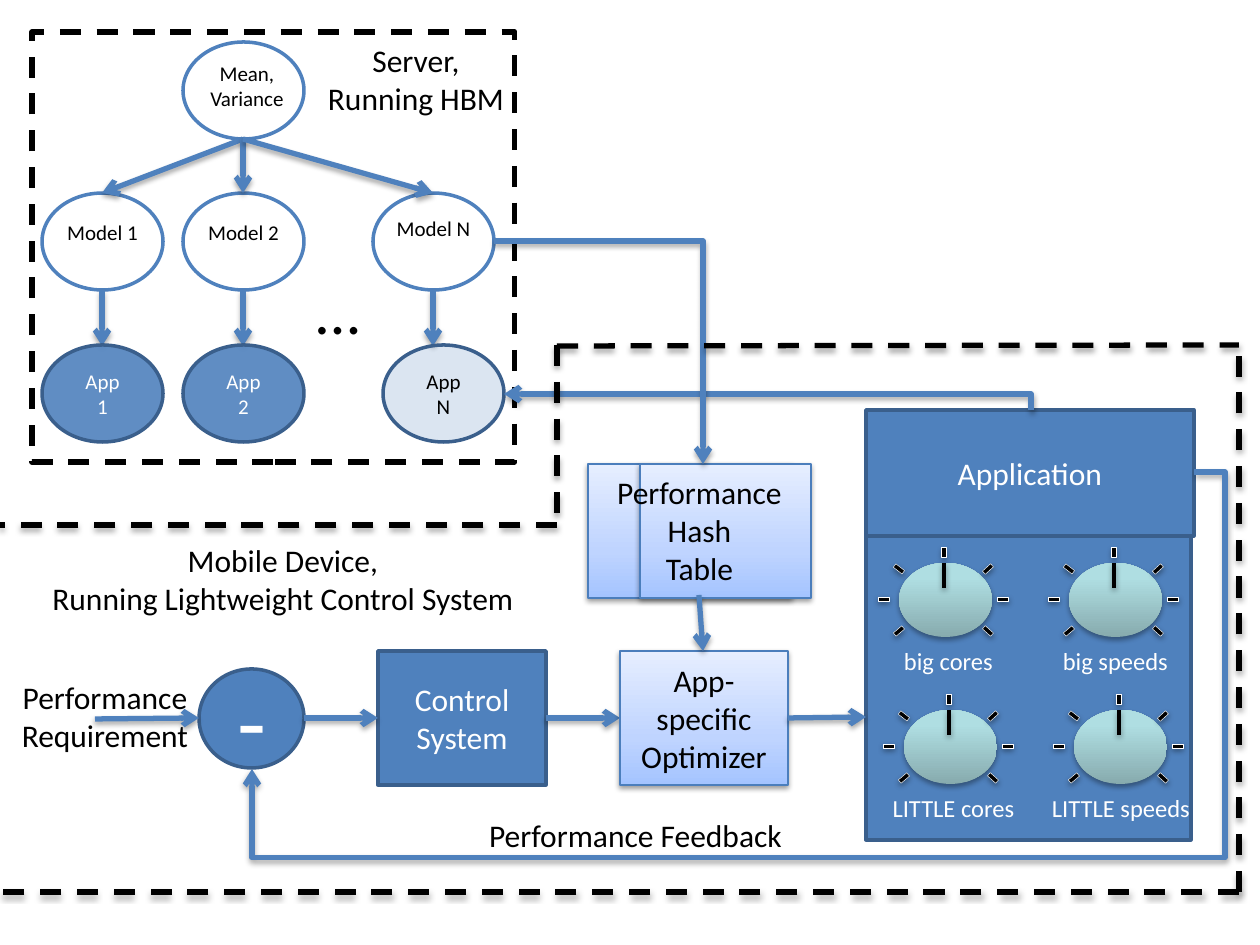
from lxml import etree
from pptx import Presentation, util as u
from pptx.dml.color import RGBColor
from pptx.enum import dml, shapes, text
from pptx.oxml import parse_xml
from pptx.oxml.ns import nsdecls, qn

SCALE = u.Inches(1) // 126
COLORS = dict(blue="4F81BD", navy="3A5F8C", edge="4B7EBC", white="FFFFFF", black="000000")
PALE = [(0, "A4C4FF"), (35, "BFD4FF"), (100, "E6EEFF")]
TEAL = [(0, "87ABAE"), (80, "AFDEE2"), (100, "AFE0E4")]
SOFT = (35, 1.8)
HARD = (38, 1.6)
KIND = shapes.MSO_SHAPE


def px(*vals):
    return [u.Emu(int(v * SCALE)) for v in vals]


def rgb(name):
    return RGBColor.from_string(COLORS[name])


def write(shape, words, size=18, color="black", align=text.PP_ALIGN.CENTER):
    frame = shape.text_frame
    frame.word_wrap = True
    for i, line in enumerate(words.split("\n")):
        para = frame.paragraphs[0] if i == 0 else frame.add_paragraph()
        para.alignment = align
        run = para.add_run()
        run.text = line
        run.font.name = "Calibri"
        run.font.size = u.Pt(size)
        run.font.color.rgb = rgb(color)


def shade(shape, cast):
    props = shape._element.spPr
    list_ = props.find(qn("a:effectLst"))
    if list_ is None:
        list_ = etree.SubElement(props, qn("a:effectLst"))
    if cast:
        alpha, dist = cast
        list_.append(parse_xml(
            f'<a:outerShdw {nsdecls("a")} blurRad="{u.Pt(3.1)}" dist="{u.Pt(dist)}" '
            f'dir="5400000" rotWithShape="0"><a:srgbClr val="000000">'
            f'<a:alpha val="{alpha * 1000}"/></a:srgbClr></a:outerShdw>'))


def blend(shape, stops):
    shape.fill.gradient()
    shape.fill.gradient_angle = 90
    old = shape._element.spPr.find(qn("a:gradFill")).find(qn("a:gsLst"))
    marks = "".join(f'<a:gs pos="{pos * 1000}"><a:srgbClr val="{tone}"/></a:gs>'
                    for pos, tone in stops)
    old.getparent().replace(old, parse_xml(f'<a:gsLst {nsdecls("a")}>{marks}</a:gsLst>'))


class Board:
    def __init__(self, slide):
        self.slide = slide
        self.into = slide.shapes

    def box(self, kind, at, fill=None, line=None, width=2, words="", cast=None,
            alpha=None, dash=False, turn=0, **style):
        shape = self.into.add_shape(kind, *px(*at))
        shape.rotation = turn
        shape.shadow.inherit = False
        shade(shape, cast)
        if isinstance(fill, list):
            blend(shape, fill)
        elif fill:
            shape.fill.solid()
            shape.fill.fore_color.rgb = rgb(fill)
            if alpha:
                tone = shape._element.spPr.find(qn("a:solidFill"))[0]
                etree.SubElement(tone, qn("a:alpha"), val=str(alpha * 1000))
        else:
            shape.fill.background()
        if line:
            shape.line.color.rgb = rgb(line)
            shape.line.width = u.Pt(width)
            if dash:
                shape.line.dash_style = dml.MSO_LINE.DASH
        else:
            shape.line.fill.background()
        if words:
            write(shape, words, **style)

    def label(self, at, words, **style):
        write(self.into.add_textbox(*px(*at)), words, **style)

    def link(self, start, end, color="blue", width=3, tip="tailEnd", cast=SOFT,
             dash=False, bend=None, adjs=()):
        kind = shapes.MSO_CONNECTOR.ELBOW if bend else shapes.MSO_CONNECTOR.STRAIGHT
        line = self.into.add_connector(kind, *px(*start, *end))
        line.line.color.rgb = rgb(color)
        line.line.width = u.Pt(width)
        if dash:
            line.line.dash_style = dml.MSO_LINE.DASH
        if tip:
            etree.SubElement(line.line._get_or_add_ln(), qn("a:" + tip), type="arrow")
        shade(line, cast)
        if bend:
            geom = line._element.spPr.find(qn("a:prstGeom"))
            geom.set("prst", bend)
            guides = geom.get_or_add_avLst()
            for i, val in enumerate(adjs, 1):
                etree.SubElement(guides, qn("a:gd"), name=f"adj{i}", fmla=f"val {val}")

    def dial(self, x, y):
        self.into = self.slide.shapes.add_group_shape().shapes
        self.box(KIND.OVAL, (x, y, 93, 74), TEAL, cast=SOFT)
        self.link((x + 45, y), (x + 45, y + 25), "black", 2, None, HARD)
        ticks = [(45, -11, 270), (104, 36, 0), (-15, 36, 0), (0, 6, 37.7),
                 (89, 6, 317.8), (0, 68, 319.8), (89, 68, 42)]
        for dx, dy, turn in ticks:
            w, h = (13, 20) if turn == 270 else (15, 18)
            self.box(KIND.MATH_MINUS, (x + dx - w / 2, y + dy - h / 2, w, h),
                     "black", "white", 0.25, cast=HARD, turn=turn)
        self.into = self.slide.shapes


deck = Presentation()
deck.slide_width, deck.slide_height = px(1260, 945)
board = Board(deck.slides.add_slide(deck.slide_layouts[6]))

solid = dict(fill="blue", line="navy", color="white")
board.box(KIND.RECTANGLE, (378, 651, 168, 134), words="Control\nSystem", **solid)
board.box(KIND.RECTANGLE, (866, 536, 325, 304), **solid)
knobs = [(899, 563, 867, 163, "big cores"), (1069, 563, 1034, 163, "big speeds"),
         (904, 710, 872, 163, "LITTLE cores"), (1074, 710, 1034, 174, "LITTLE speeds")]
for x, y, left, wide, name in knobs:
    board.dial(x, y)
    board.label((left, y + 77, wide, 43), name, size=14, color="white")
board.box(KIND.RECTANGLE, (866, 410, 328, 126), words="Application", **solid)

board.link((546, 718), (620, 718))
board.link((1194, 472), (252, 769), bend="bentConnector4", adjs=(-3300, 129900))
board.box(KIND.OVAL, (199, 669, 105, 99), words="-", size=54, **solid)
board.link((304, 718), (378, 718))
board.label((399, 810, 473, 50), "Performance Feedback")
board.link((95, 719), (199, 718))
board.label((-21, 672, 252, 89), "Performance\nRequirement")
pale = dict(fill=PALE, line="edge", width=0.75, cast=HARD)
board.box(KIND.RECTANGLE, (620, 651, 168, 134), words="App-specific\nOptimizer", **pale)
board.link((788, 718), (866, 717))

ring = dict(fill="white", line="blue")
models = [("1", 42, 42, 213, 90, "white"), ("2", 183, 183, 213, 90, "white"),
          ("N", 373, 383, 209, 20, "black")]
board.box(KIND.OVAL, (183, 42, 121, 97), **ring)
for name, x, low, top, alpha, color in models:
    mid = x + 60
    board.box(KIND.OVAL, (x, 193, 121, 97), **ring)
    board.link((mid, 290), (mid, 346))
    board.link((243, 139), (mid, 193))
    board.box(KIND.OVAL, (low, 345, 121, 97), "blue", "navy", alpha=alpha)
    board.label((low, 362, 121, 64), f"App\n{name}", size=12, color=color)
    board.label((x, top, 121, 39), f"Model {name}", size=12)
board.label((304, 265, 141, 91), "…", size=36, align=text.PP_ALIGN.LEFT)
board.label((152, 54, 190, 64), "Mean,\nVariance", size=12)

for x, wide in [(588, 204), (640, 171)]:
    board.box(KIND.RECTANGLE, (x, 464, wide, 134), **pale)
board.label((588, 467, 223, 127), "Performance\nHash\nTable")
board.link((699, 595), (703, 651))
board.box(KIND.RECTANGLE, (32, 32, 483, 430), line="black", width=3, dash=True)
board.link((504, 394), (1031, 410), tip="headEnd", bend="bentConnector2")
board.link((494, 241), (703, 464), bend="bentConnector2")
edges = [(557, 345, 557, 525), (557, 346, 1239, 345), (1239, 892, 1239, 346),
         (1239, 892, 0, 892), (557, 525, 0, 525)]
for x, y, right, low in edges:
    board.link((x, y), (right, low), "black", tip=None, dash=True)
board.label((315, 35, 202, 127), "Server,\nRunning HBM")
board.label((9, 535, 548, 89), "Mobile Device,\nRunning Lightweight Control System")

deck.save("out.pptx")
